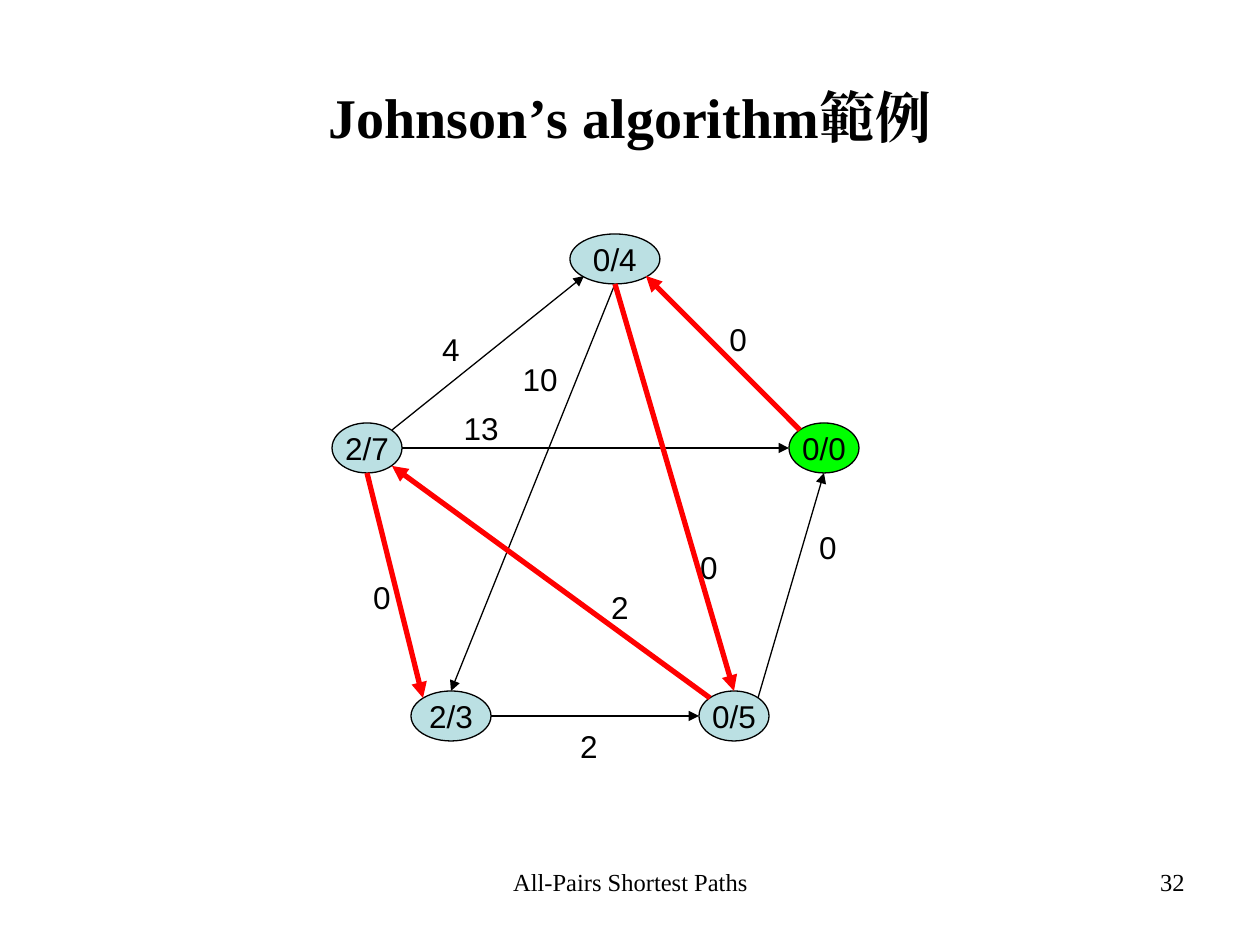
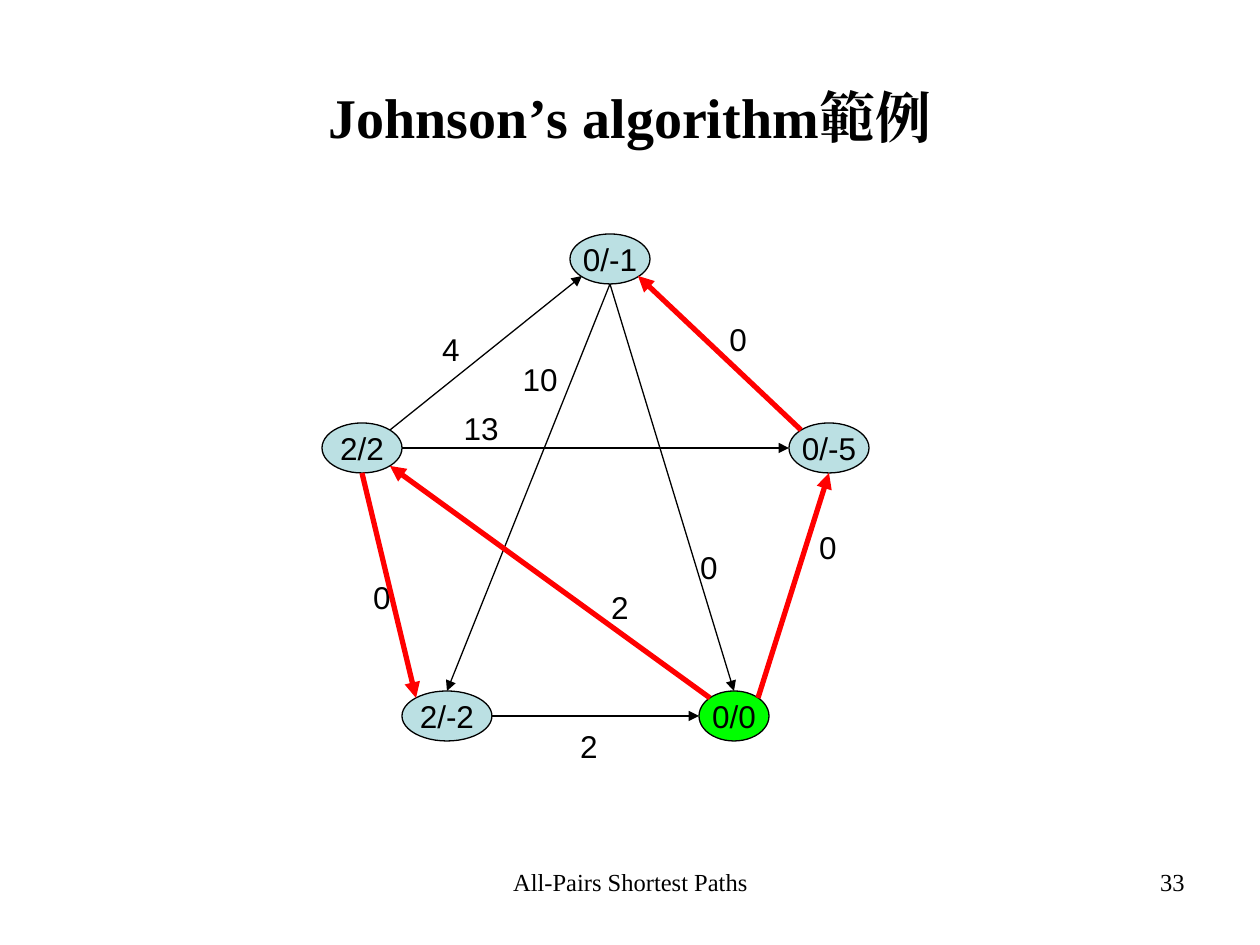
from dataclasses import dataclass

from lxml.etree import SubElement
from pptx import Presentation
from pptx.dml.color import RGBColor
from pptx.enum.lang import MSO_LANGUAGE_ID as Language
from pptx.enum.shapes import MSO_CONNECTOR as Connector, MSO_SHAPE as Preset
from pptx.enum.text import MSO_ANCHOR as Anchor, PP_ALIGN as Align
from pptx.oxml.ns import qn
from pptx.slide import Slide
from pptx.text.text import TextFrame
from pptx.util import Emu, Pt

PIXELS_PER_INCH = 126
SLIDE_SIZE = (1260, 945)
BLACK, RED, GREEN, PALE_BLUE = "000000", "FF0000", "00FF00", "BBE0E3"
SERIF, SANS = "Times New Roman", "Arial"
TITLE = "Johnson’s algorithm範例"
FOOTER = "All-Pairs Shortest Paths"
TITLE_BOX = (63, 38, 1134, 157)
FOOTER_BOX = (431, 861, 399, 66)
NUMBER_BOX = (903, 861, 294, 66)
WEIGHT_SIZE = (118, 50)
VERTEX_HEIGHT = 50
VERTEX_TOPS = {"north": 234, "west": 423, "east": 423,
               "southwest": 691, "southeast": 691}

# Points on an ellipse, as fractions of its width and height.
NEAR, FAR = 0.15, 0.85
SITES = {"top": (0.5, 0), "bottom": (0.5, 1), "left": (0, 0.5), "right": (1, 0.5),
         "top left": (NEAR, NEAR), "top right": (FAR, NEAR),
         "bottom left": (NEAR, FAR), "bottom right": (FAR, FAR)}


@dataclass(frozen=True)
class Vertex:
    """A vertex of the graph, with its pair of distances."""
    place: str
    distances: str
    left: int
    width: int

    def site(self, name: str) -> tuple[int, int]:
        """Return the pixel position of a named point on the outline."""
        across, down = SITES[name]
        return (round(self.left + across * self.width),
                round(VERTEX_TOPS[self.place] + down * VERTEX_HEIGHT))


@dataclass(frozen=True)
class Edge:
    """A directed edge and the corner of its weight label."""
    start: str
    start_site: str
    end: str
    end_site: str
    weight: str
    label_at: tuple[int, int]


@dataclass(frozen=True)
class Example:
    """The shortest-path tree from one source vertex."""
    number: int
    source: str
    vertices: tuple[Vertex, ...]
    tree: frozenset[tuple[str, str]]


EDGES = (
    Edge("west", "top right", "north", "bottom left", "4", (392, 324)),
    Edge("north", "bottom", "southwest", "top", "10", (481, 354)),
    Edge("east", "top left", "north", "bottom right", "0", (679, 314)),
    Edge("southeast", "top left", "west", "bottom right", "2", (561, 582)),
    Edge("west", "right", "east", "left", "13", (422, 403)),
    Edge("west", "bottom", "southwest", "top left", "0", (323, 572)),
    Edge("southwest", "right", "southeast", "left", "2", (530, 721)),
    Edge("north", "bottom", "southeast", "top", "0", (650, 542)),
    Edge("southeast", "top right", "east", "bottom", "0", (769, 522)),
)
SHARED_TREE = frozenset({("east", "north"), ("southeast", "west"),
                         ("west", "southwest")})

EXAMPLES = (
    Example(32, "east", (
        Vertex("north", "0/4", 570, 90),
        Vertex("west", "2/7", 332, 70),
        Vertex("east", "0/0", 789, 70),
        Vertex("southwest", "2/3", 411, 80),
        Vertex("southeast", "0/5", 699, 70),
    ), SHARED_TREE | {("north", "southeast")}),
    Example(33, "southeast", (
        Vertex("north", "0/-1", 570, 80),
        Vertex("west", "2/2", 322, 80),
        Vertex("east", "0/-5", 789, 80),
        Vertex("southwest", "2/-2", 402, 90),
        Vertex("southeast", "0/0", 699, 70),
    ), SHARED_TREE | {("southeast", "east")}),
)


def px(*lengths: int) -> list[Emu]:
    """Turn pixels into EMU."""
    return [Emu(round(length * 914400 / PIXELS_PER_INCH)) for length in lengths]


def color(value: str) -> RGBColor:
    """Turn a hex string into a colour."""
    return RGBColor.from_string(value)


def write(frame: TextFrame, text: str, *, size: int = 18, font: str = SANS,
          bold: bool = False, align: Align = Align.CENTER,
          anchor: Anchor = Anchor.TOP, wrap: bool = True,
          language: Language | None = None) -> None:
    """Fill a text frame with one formatted paragraph."""
    frame.word_wrap = wrap
    frame.vertical_anchor = anchor
    paragraph = frame.paragraphs[0]
    paragraph.alignment = align
    run = paragraph.add_run()
    run.text = text
    run.font.name, run.font.size, run.font.bold = font, Pt(size), bold
    run.font.color.rgb = color(BLACK)
    if language is not None:
        run.font.language_id = language
        SubElement(run.font._element, qn("a:ea")).set("typeface", font)


def add_label(slide: Slide, box: tuple[int, ...], text: str, **style) -> None:
    """Add a text box."""
    write(slide.shapes.add_textbox(*px(*box)).text_frame, text, **style)


def add_vertex(slide: Slide, vertex: Vertex, fill: str) -> None:
    """Draw a vertex as an ellipse."""
    box = px(vertex.left, VERTEX_TOPS[vertex.place], vertex.width, VERTEX_HEIGHT)
    ellipse = slide.shapes.add_shape(Preset.OVAL, *box)
    ellipse.shadow.inherit = False
    ellipse.fill.solid()
    ellipse.fill.fore_color.rgb = color(fill)
    ellipse.line.color.rgb = color(BLACK)
    ellipse.line.width = Pt(0.75)
    write(ellipse.text_frame, vertex.distances, anchor=Anchor.MIDDLE, wrap=False)


def add_arrow(slide: Slide, start: tuple[int, int], end: tuple[int, int],
              in_tree: bool) -> None:
    """Draw an edge, thick and red when it belongs to the tree."""
    arrow = slide.shapes.add_connector(Connector.STRAIGHT, *px(*start, *end))
    arrow.line.color.rgb = color(RED if in_tree else BLACK)
    arrow.line.width = Pt(3 if in_tree else 0.75)
    SubElement(arrow.line._get_or_add_ln(), qn("a:tailEnd")).set("type", "triangle")
    SubElement(arrow._element.spPr, qn("a:effectLst"))


def add_frame(slide: Slide, number: int) -> None:
    """Add the title, the footer and the slide number."""
    title = slide.shapes.title
    title.left, title.top, title.width, title.height = px(*TITLE_BOX)
    write(title.text_frame, TITLE, size=32, font=SERIF, bold=True,
          anchor=Anchor.MIDDLE, language=Language.TRADITIONAL_CHINESE)
    add_label(slide, FOOTER_BOX, FOOTER, size=14, font=SERIF)
    add_label(slide, NUMBER_BOX, str(number), size=14, font=SERIF, align=Align.RIGHT)


def add_graph(slide: Slide, example: Example) -> None:
    """Draw the vertices, the weights and the edges."""
    places = {vertex.place: vertex for vertex in example.vertices}
    for place, vertex in places.items():
        add_vertex(slide, vertex, GREEN if place == example.source else PALE_BLUE)
    for edge in EDGES:
        add_label(slide, (*edge.label_at, *WEIGHT_SIZE), edge.weight)
    for edge in EDGES:
        add_arrow(slide, places[edge.start].site(edge.start_site),
                  places[edge.end].site(edge.end_site),
                  (edge.start, edge.end) in example.tree)


def main() -> None:
    """Build one slide for each example."""
    deck = Presentation()
    deck.slide_width, deck.slide_height = px(*SLIDE_SIZE)
    title_only = deck.slide_layouts.get_by_name("Title Only")
    for example in EXAMPLES:
        slide = deck.slides.add_slide(title_only)
        add_frame(slide, example.number)
        add_graph(slide, example)
    deck.save("out.pptx")


main()
